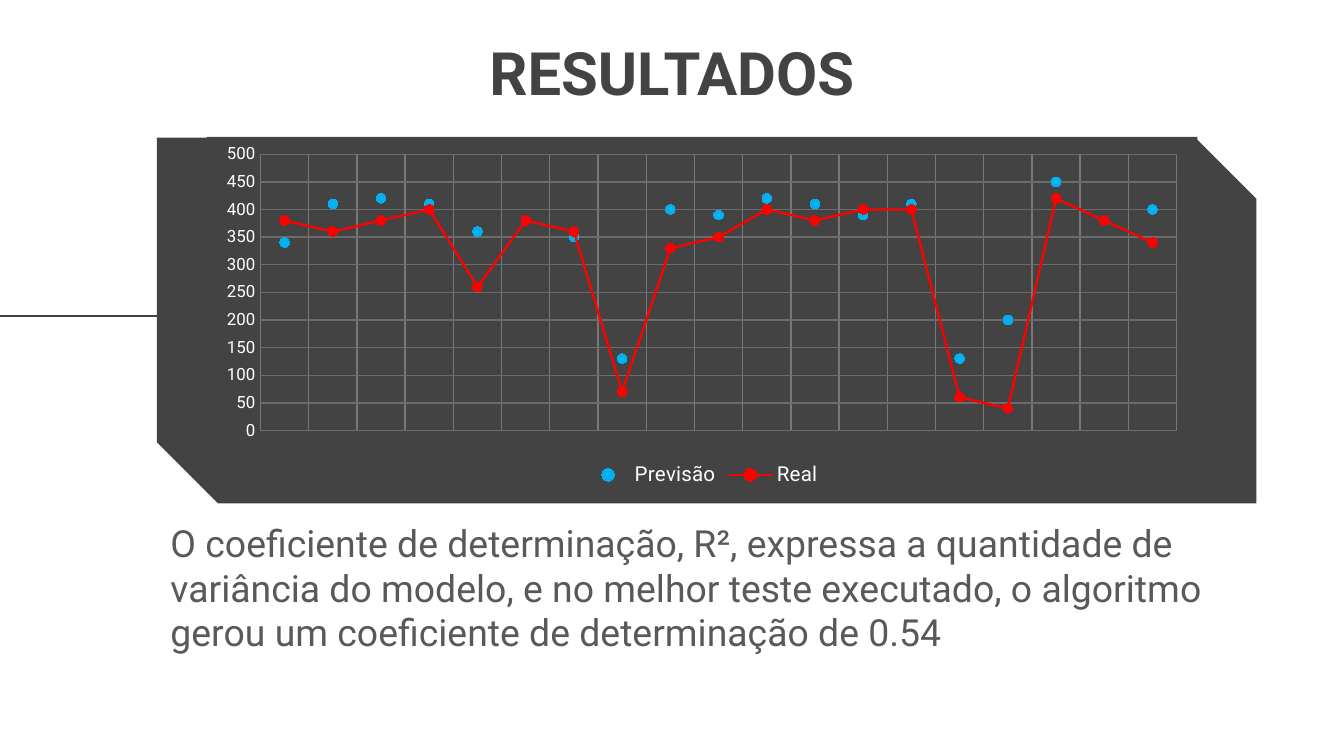
from lxml.etree import SubElement
from pptx import Presentation
from pptx.chart.data import CategoryChartData
from pptx.dml.color import RGBColor
from pptx.enum.chart import XL_CHART_TYPE as ChartType, XL_LEGEND_POSITION as LegendPosition
from pptx.enum.chart import XL_MARKER_STYLE as MarkerStyle, XL_TICK_MARK as TickMark
from pptx.enum.shapes import MSO_CONNECTOR as Connector, MSO_SHAPE as Shape
from pptx.enum.text import PP_ALIGN as Align
from pptx.oxml import parse_xml
from pptx.oxml.ns import nsdecls, qn
from pptx.util import Inches, Pt

FONT = "Roboto"
COLORS = {
    "dark": "434343", "body": "595959", "white": "FFFFFF",
    "column_grid": "777777", "row_grid": "6C6C6C",
    "forecast": "00B0F0", "actual": "FF0000",
}
TITLE = "RESULTADOS"
BODY = (
    "O coeficiente de determinação, R², expressa a quantidade de variância do modelo, "
    "e no melhor teste executado, o algoritmo gerou um coeficiente de determinação de 0.54"
)
SERIES = [
    {"name": "Previsão", "color": "forecast", "line": False,
     "values": [340, 410, 420, 410, 360, 380, 350, 130, 400, 390,
                420, 410, 390, 410, 130, 200, 450, 380, 400]},
    {"name": "Real", "color": "actual", "line": True,
     "values": [380, 360, 380, 400, 260, 380, 360, 70, 330, 350,
                400, 380, 400, 400, 60, 40, 420, 380, 340]},
]
PERCENT_BOXES = {
    "panel": (11.68, 18.2, 81.8, 48.4),
    "chart": (15.4, 18.1, 73.7, 47.11),
    "body": (11.7, 67.91, 80.8, 19.75),
    "title": (21.5, 3.02, 57, 14.23),
}
RULE = {"start": 26.5, "end": 0, "height": 41.78}
PLOT_PERCENT = {"x": 5.4, "y": 4.9, "w": 92.5, "h": 77.6}

presentation = Presentation()
presentation.slide_width = Inches(10)
presentation.slide_height = presentation.slide_width * 9 // 16
slide = presentation.slides.add_slide(presentation.slide_layouts[6])
shapes = slide.shapes


def across(percent):
    return int(presentation.slide_width * percent / 100)


def down(percent):
    return int(presentation.slide_height * percent / 100)


def box(name):
    left, top, width, height = PERCENT_BOXES[name]
    return across(left), down(top), across(width), down(height)


def rgb(name):
    return RGBColor.from_string(COLORS[name])


def fill_with(fill, color):
    fill.solid()
    fill.fore_color.rgb = rgb(color)


def style_line(line, color, width=0.75):
    fill_with(line.fill, color)
    line.width = Pt(width)


def style_font(font, size, color, bold=False):
    font.name, font.size, font.bold = FONT, Pt(size), bold
    font.color.rgb = rgb(color)


def add_text(name, text, size, color, bold=False, align=Align.LEFT, inset=0.05):
    frame = shapes.add_textbox(*box(name)).text_frame
    frame.word_wrap = True
    frame.margin_top = frame.margin_bottom = Inches(inset)
    frame.text = text
    paragraph = frame.paragraphs[0]
    paragraph.alignment = align
    style_font(paragraph.runs[0].font, size, color, bold)


def add_panel():
    panel = shapes.add_shape(Shape.SNIP_2_DIAG_RECTANGLE, *box("panel"))
    panel.adjustments[0], panel.adjustments[1] = 0, 0.167
    panel.shadow.inherit = False
    fill_with(panel.fill, "dark")
    panel.line.fill.background()


def add_rule():
    height = down(RULE["height"])
    rule = shapes.add_connector(
        Connector.STRAIGHT, across(RULE["start"]), height, across(RULE["end"]), height)
    style_line(rule.line, "dark")
    SubElement(rule._element.spPr, qn("a:effectLst"))


def fill_chart_area(chart):
    area = parse_xml(
        f'<c:spPr {nsdecls("c", "a")}><a:solidFill><a:srgbClr val="{COLORS["dark"]}"/>'
        '</a:solidFill><a:ln><a:noFill/></a:ln></c:spPr>')
    chart._chartSpace.chart.addnext(area)


def place_plot(chart):
    plot_area = chart._chartSpace.chart.plotArea
    for layout in plot_area.findall(qn("c:layout")):
        plot_area.remove(layout)
    shares = {key: percent / 100 for key, percent in PLOT_PERCENT.items()}
    settings = {"layoutTarget": "inner", "xMode": "edge", "yMode": "edge", **shares}
    children = "".join(f'<c:{key} val="{value}"/>' for key, value in settings.items())
    plot_area.insert(0, parse_xml(
        f'<c:layout {nsdecls("c")}><c:manualLayout>{children}</c:manualLayout></c:layout>'))


def add_results_chart():
    data = CategoryChartData(number_format="#,##0")
    data.categories = [str(i + 1) for i in range(len(SERIES[0]["values"]))]
    for entry in SERIES:
        data.add_series(entry["name"], entry["values"])
    chart = shapes.add_chart(ChartType.LINE_MARKERS, *box("chart"), data).chart
    chart.has_title = False
    style_font(chart.font, 10, "white")
    fill_chart_area(chart)
    place_plot(chart)

    chart.plots[0].vary_by_categories = False
    for series, entry in zip(chart.plots[0].series, SERIES):
        series.smooth = False
        if entry["line"]:
            style_line(series.format.line, entry["color"], 1.25)
        else:
            series.format.line.fill.background()
        series.marker.style, series.marker.size = MarkerStyle.CIRCLE, 5
        fill_with(series.marker.format.fill, entry["color"])
        style_line(series.marker.format.line, entry["color"])

    categories, values = chart.category_axis, chart.value_axis
    for axis, color in ((categories, "column_grid"), (values, "row_grid")):
        axis.has_major_gridlines = True
        style_line(axis.major_gridlines.format.line, color)
    categories.visible = False
    values.minimum_scale, values.maximum_scale, values.major_unit = 0, 500, 50
    values.major_tick_mark = values.minor_tick_mark = TickMark.NONE
    values.format.line.fill.background()
    values.tick_labels.number_format = "#,##0"
    values.tick_labels.number_format_is_linked = False
    style_font(values.tick_labels.font, 9, "white")

    chart.has_legend = True
    chart.legend.position = LegendPosition.BOTTOM
    chart.legend.include_in_layout = False
    style_font(chart.legend.font, 11, "white")


add_panel()
add_rule()
add_results_chart()
add_text("body", BODY, 20, "body")
add_text("title", TITLE, 32, "dark", True, Align.CENTER, 0.1)
presentation.save("out.pptx")
